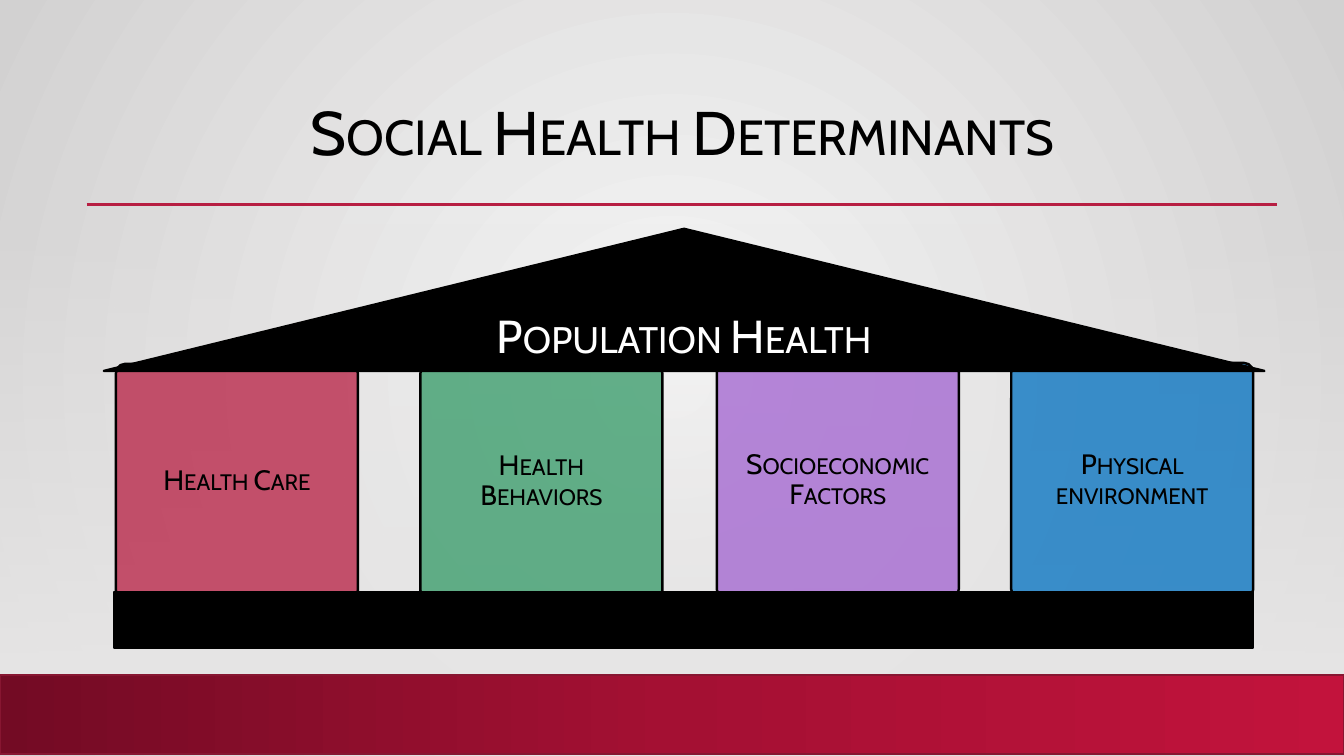
"""Builds the Social Health Determinants slide as a four-pillar house."""
from lxml import etree
from pptx import Presentation
from pptx import util as u
from pptx.dml.color import RGBColor
from pptx.enum import shapes, text
from pptx.oxml import ns

COLORS = {
    "black": "000000", "white": "FFFFFF", "rule": "B71E42", "edge": "000001",
    "care": "B71E42", "behaviors": "339966", "factors": "A162D0",
    "environment": "0070C0", "glow": "F6F6F6", "rim": "D2D1D1",
    "floor": "E7E6E6", "band_dark": "730B24", "band_mid": "A41033",
    "band_light": "C2133C", "band_line": "871631",
}
PILLARS = [
    ("Health Care", "care", 1.15, 3.61),
    ("Health Behaviors", "behaviors", 4.17, 3.61),
    ("Socioeconomic Factors", "factors", 7.11, 3.6),
    ("Physical environment", "environment", 10.03, 3.6),
]
SHAPE = shapes.MSO_SHAPE


def rgb(name):
    return RGBColor.from_string(COLORS[name])


def add_child(parent, tag, **attributes):
    return etree.SubElement(parent, ns.qn(tag), attributes)


def set_alpha(color_element, percent):
    add_child(color_element, "a:alpha", val=str(percent * 1000))


def set_gradient(owner, fill, stops, angle=None):
    fill.gradient()
    gradient = owner.find(".//" + ns.qn("a:gradFill"))
    for child in list(gradient):
        gradient.remove(child)
    stop_list = add_child(gradient, "a:gsLst")
    for position, name, alpha in stops:
        stop = add_child(stop_list, "a:gs", pos=str(position * 1000))
        color = add_child(stop, "a:srgbClr", val=COLORS[name])
        if alpha < 100:
            set_alpha(color, alpha)
    if angle is None:
        route = add_child(gradient, "a:path", path="circle")
        add_child(route, "a:fillToRect", **dict.fromkeys("ltrb", "50000"))
    else:
        add_child(gradient, "a:lin", ang=str(angle * 60000), scaled="0")


def add_block(page, kind, place, line=None, width=1.75):
    block = page.shapes.add_shape(kind, *map(u.Inches, place))
    block.shadow.inherit = False
    if line:
        block.line.color.rgb = rgb(line)
        block.line.width = u.Pt(width)
    else:
        block.line.fill.background()
    return block


def set_solid(block, name, alpha=100):
    block.fill.solid()
    block.fill.fore_color.rgb = rgb(name)
    if alpha < 100:
        set_alpha(block._element.spPr.find(".//" + ns.qn("a:srgbClr")), alpha)


def add_rule(page, left, right, top, name, width, alpha=100):
    rule = page.shapes.add_connector(
        shapes.MSO_CONNECTOR.STRAIGHT,
        u.Inches(left), u.Inches(top), u.Inches(right), u.Inches(top))
    rule.line.color.rgb = rgb(name)
    rule.line.width = u.Pt(width)
    if alpha < 100:
        set_alpha(rule._element.spPr.find(".//" + ns.qn("a:srgbClr")), alpha)
    add_child(rule._element.spPr, "a:effectLst")


def write(box, words, size, color="black", anchor=text.MSO_ANCHOR.MIDDLE):
    frame = box.text_frame
    frame.word_wrap = True
    frame.vertical_anchor = anchor
    para = frame.paragraphs[0]
    para.text = words
    para.alignment = text.PP_ALIGN.CENTER
    para.font.name = "Cabin"
    para.font.size = u.Pt(size)
    para.font.color.rgb = rgb(color)
    para.font._element.set("cap", "small")
    return frame


def add_backdrop(page):
    set_gradient(page._element, page.background.fill,
                 [(0, "glow", 100), (100, "rim", 100)])
    floor = add_block(page, SHAPE.RECTANGLE, (0, 2.21, 13.33, 4.49))
    set_gradient(floor._element, floor.fill,
                 [(0, "floor", 0), (100, "floor", 100)], 90)
    add_rule(page, 0, 13.33, 6.7, "edge", 1, 20)
    band = add_block(page, SHAPE.RECTANGLE, (0, 6.7, 13.33, 0.78), "band_line", 1.25)
    set_gradient(band._element, band.fill,
                 [(0, "band_dark", 100), (50, "band_mid", 100),
                  (100, "band_light", 100)], 0)


def add_title(page, words):
    add_rule(page, 0.86, 12.67, 2.03, "rule", 2.5)
    box = page.shapes.add_textbox(*map(u.Inches, (0.91, 0.88, 11.72, 1.15)))
    write(box, words, 44, anchor=text.MSO_ANCHOR.TOP)


def add_pillar(page, words, name, left, top):
    pillar = add_block(page, SHAPE.ROUNDED_RECTANGLE, (left, top, 2.4, 2.34), "black")
    pillar.adjustments[0] = 0.04
    set_solid(pillar, name, 75)
    frame = write(pillar, words, 20)
    frame.paragraphs[0].line_spacing = 0.9
    frame.margin_left = frame.margin_right = u.Inches(0.2)
    frame.margin_top = frame.margin_bottom = u.Inches(0.2)


def add_roof_and_base(page, words):
    roof = add_block(page, SHAPE.ISOSCELES_TRIANGLE, (1.03, 2.27, 11.51, 1.41), "black")
    set_solid(roof, "black")
    write(roof, words, 33, "white")
    base = add_block(page, SHAPE.RECTANGLE, (1.13, 5.87, 11.3, 0.56), "black", 1.25)
    set_solid(base, "black")


def main():
    deck = Presentation()
    deck.slide_width, deck.slide_height = u.Inches(13.33), u.Inches(7.5)
    page = deck.slides.add_slide(deck.slide_layouts[6])
    add_backdrop(page)
    add_title(page, "Social Health Determinants")
    for pillar in PILLARS:
        add_pillar(page, *pillar)
    add_roof_and_base(page, "Population Health")
    deck.save("out.pptx")


if __name__ == "__main__":
    main()
